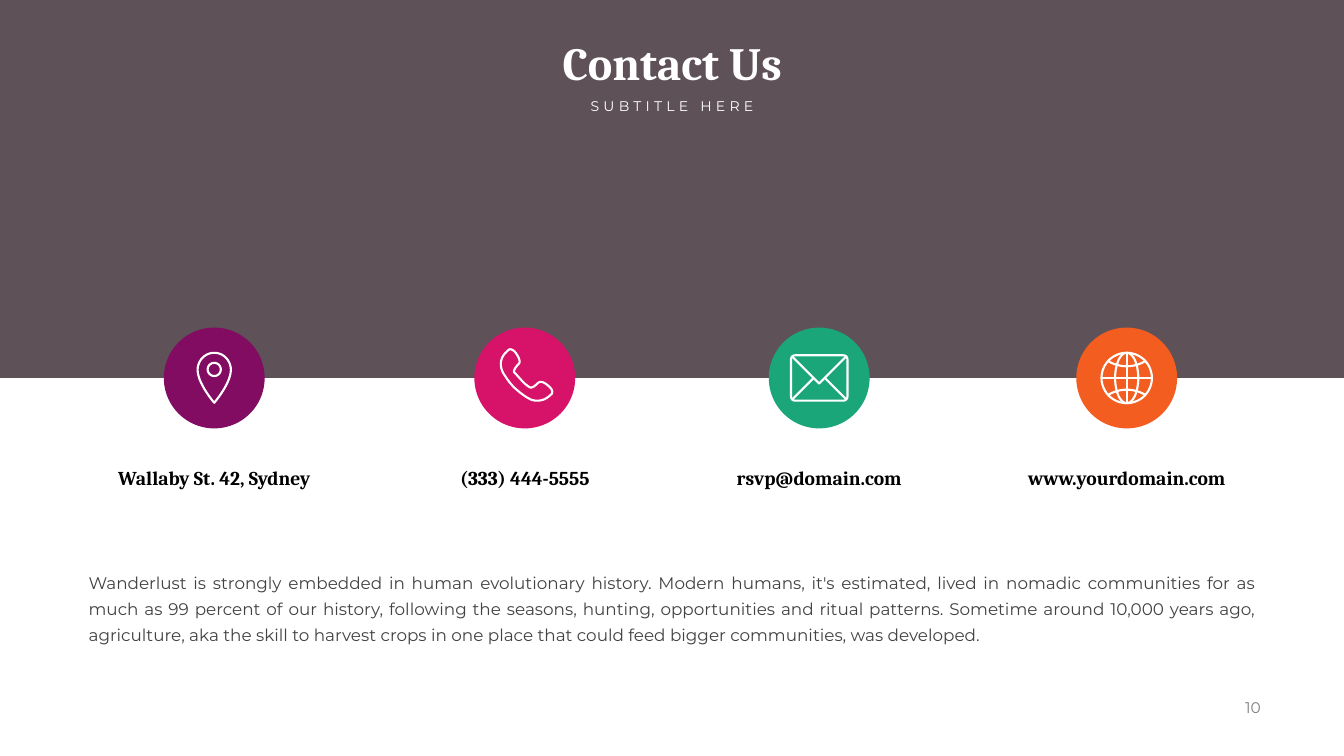
from math import cos, sin, pi
from lxml import etree
from pptx import Presentation
from pptx import util as u
from pptx.dml.color import RGBColor
from pptx.enum import shapes, text
from pptx.oxml.ns import qn

WHITE = RGBColor(255, 255, 255)
BLACK = RGBColor(0, 0, 0)
DARK = RGBColor(0x29, 0x17, 0x20)
INK = RGBColor(0x42, 0x42, 0x42)
GREY = RGBColor(0x80, 0x80, 0x80)
PLUM = RGBColor(0x81, 0x0C, 0x62)
PINK = RGBColor(0xD7, 0x12, 0x69)
GREEN = RGBColor(0x1A, 0xA6, 0x78)
ORANGE = RGBColor(0xF3, 0x5D, 0x20)
SERIF, SANS = "Cambria", "Montserrat"

TITLE = "Contact Us"
SUB = "SUBTITLE HERE"
NOTE = (
    "Wanderlust is strongly embedded in human evolutionary history. Modern humans, "
    "it's estimated, lived in nomadic communities for as much as 99 percent of our "
    "history, following the seasons, hunting, opportunities and ritual patterns. "
    "Sometime around 10,000 years ago, agriculture, aka the skill to harvest crops in "
    "one place that could feed bigger communities, was developed."
)
PAGE = "10"

PIN = [
    ("bend", [(0, -.5), (-.18, -.5), (-.33, -.35), (-.33, -.16),
              (-.33, .07), (-.08, .4), (0, .49),
              (.08, .4), (.33, .07), (.33, -.16),
              (.33, -.35), (.18, -.5), (0, -.5)]),
    ("oval", (0, -.17, .13, .13)),
]
PHONE = [
    ("bend", [(-.29, -.57), (-.31, -.57), (-.33, -.55), (-.34, -.54),
              (-.45, -.45), (-.53, -.3), (-.43, -.1),
              (-.36, .01), (-.29, .11), (-.21, .19),
              (-.12, .27), (-.01, .36), (.07, .4),
              (.13, .44), (.19, .45), (.25, .45),
              (.41, .45), (.49, .35), (.53, .32),
              (.56, .28), (.55, .22), (.46, .15),
              (.39, .09), (.32, .05), (.26, .1),
              (.21, .15), (.16, .19), (.12, .19),
              (.09, .19), (-.01, .11), (-.06, .05),
              (-.11, 0), (-.18, -.09), (-.21, -.11),
              (-.23, -.16), (-.16, -.24), (-.12, -.28),
              (-.07, -.33), (-.14, -.44), (-.16, -.47),
              (-.19, -.52), (-.24, -.57), (-.29, -.57)]),
]
MAIL = [
    ("box", (.56, .45, .08)),
    ("line", [(-.54, -.43), (0, .11), (.54, -.43)]),
    ("line", [(-.54, .43), (-.12, .01)]),
    ("line", [(.54, .43), (.12, .01)]),
]
GLOBE = [
    ("oval", (0, 0, .5, .5)),
    ("oval", (0, 0, .23, .5)),
    ("line", [(0, -.5), (0, .5)]),
    ("line", [(-.5, 0), (.5, 0)]),
    ("bend", [(-.36, -.33), (-.14, -.2), (.14, -.2), (.36, -.33)]),
    ("bend", [(-.36, .33), (-.14, .2), (.14, .2), (.36, .33)]),
]
ITEMS = [
    (4.25, PLUM, PIN, "Wallaby St. 42, Sydney"),
    (10.41, PINK, PHONE, "(333) 444-5555"),
    (16.25, GREEN, MAIL, "rsvp@domain.com"),
    (22.35, ORANGE, GLOBE, "www.yourdomain.com"),
]
WIDE, HIGH = 26.66, 15
MID = HIGH / 2
SIZE = 2


def arc(x, y, rx, ry, start=0, turn=2 * pi, steps=48):
    angles = [start + turn * i / steps for i in range(steps + 1)]
    return [(x + rx * cos(a), y + ry * sin(a)) for a in angles]


def box(w, h, r):
    signs = [(1, 1), (-1, 1), (-1, -1), (1, -1)]
    dots = [dot for i, (sx, sy) in enumerate(signs)
            for dot in arc(sx * (w - r), sy * (h - r), r, r, i * pi / 2, pi / 2, 8)]
    return dots + dots[:1]


def bend(knots, steps=12):
    dots = knots[:1]
    for i in range(0, len(knots) - 1, 3):
        for k in range(1, steps + 1):
            t = k / steps
            mix = ((1 - t) ** 3, 3 * t * (1 - t) ** 2, 3 * t * t * (1 - t), t ** 3)
            dots.append(tuple(sum(m * p[axis] for m, p in zip(mix, knots[i:i + 4]))
                              for axis in (0, 1)))
    return dots


def trace(kind, data):
    if kind == "oval":
        return arc(*data)
    if kind == "box":
        return box(*data)
    return bend(data) if kind == "bend" else data


def icon(slide, x, strokes):
    pen = None
    for kind, data in strokes:
        dots = [(round((x + dx) * 1000), round((MID + dy) * 1000))
                for dx, dy in trace(kind, data)]
        if pen is None:
            pen = slide.shapes.build_freeform(*dots[0], scale=u.Inches(1) / 1000)
        else:
            pen.move_to(*dots[0])
        pen.add_line_segments(dots[1:], close=dots[0] == dots[-1])
    shape = pen.convert_to_shape()
    shape.shadow.inherit = False
    shape.fill.background()
    shape.line.color.rgb = WHITE
    shape.line.width = u.Pt(3)


def solid(slide, kind, area, color):
    shape = slide.shapes.add_shape(kind, *map(u.Inches, area))
    shape.shadow.inherit = False
    shape.fill.solid()
    shape.fill.fore_color.rgb = color
    shape.line.fill.background()
    return shape


def write(shape, area, words, size, face, color, bold=False,
          align=text.PP_ALIGN.CENTER, anchor=text.MSO_ANCHOR.TOP, wrap=False):
    shape.left, shape.top, shape.width, shape.height = map(u.Inches, area)
    frame = shape.text_frame
    frame.word_wrap = wrap
    frame.auto_size = text.MSO_AUTO_SIZE.NONE
    frame.vertical_anchor = anchor
    para = frame.paragraphs[0]
    para.alignment = align
    para.space_before = u.Pt(0)
    run = para.add_run()
    run.text = words
    run.font.size = u.Pt(size)
    run.font.name = face
    run.font.bold = bold
    run.font.color.rgb = color
    return para


def label(slide, *args, **more):
    return write(slide.shapes.add_textbox(0, 0, 0, 0), *args, **more)


def main():
    deck = Presentation()
    deck.slide_width, deck.slide_height = u.Inches(WIDE), u.Inches(HIGH)
    slide = deck.slides.add_slide(deck.slide_layouts[0])
    head, sub = slide.placeholders

    band = solid(slide, shapes.MSO_SHAPE.RECTANGLE, (0, 0, WIDE, MID), DARK)
    tint = band._element.spPr.find(".//" + qn("a:srgbClr"))
    etree.SubElement(tint, qn("a:alpha"), val="75000")
    slide.shapes._spTree.insert(2, band._element)

    write(head, (10.84, .63, 4.99, 1.21), TITLE, 66, SERIF, WHITE, bold=True)
    para = write(sub, (11.55, 1.88, 3.56, .44), SUB, 20, SANS, WHITE)
    para.runs[0].font._element.set("spc", "600")

    for x, color, strokes, words in ITEMS:
        solid(slide, shapes.MSO_SHAPE.OVAL,
              (x - SIZE / 2, MID - SIZE / 2, SIZE, SIZE), color)
        icon(slide, x, strokes)
        label(slide, (x - 2.2, 9.2, 4.4, .57), words, 28, SERIF, BLACK,
              bold=True, anchor=text.MSO_ANCHOR.MIDDLE)

    para = label(slide, (1.66, 11.2, 23.33, 1.61), NOTE, 24, SANS, INK,
                 align=text.PP_ALIGN.JUSTIFY, wrap=True)
    para.line_spacing = u.Pt(37)
    label(slide, (24.51, 13.8, .6, .47), PAGE, 22, SANS, GREY,
          align=text.PP_ALIGN.RIGHT, anchor=text.MSO_ANCHOR.MIDDLE)
    deck.save("out.pptx")


if __name__ == "__main__":
    main()
